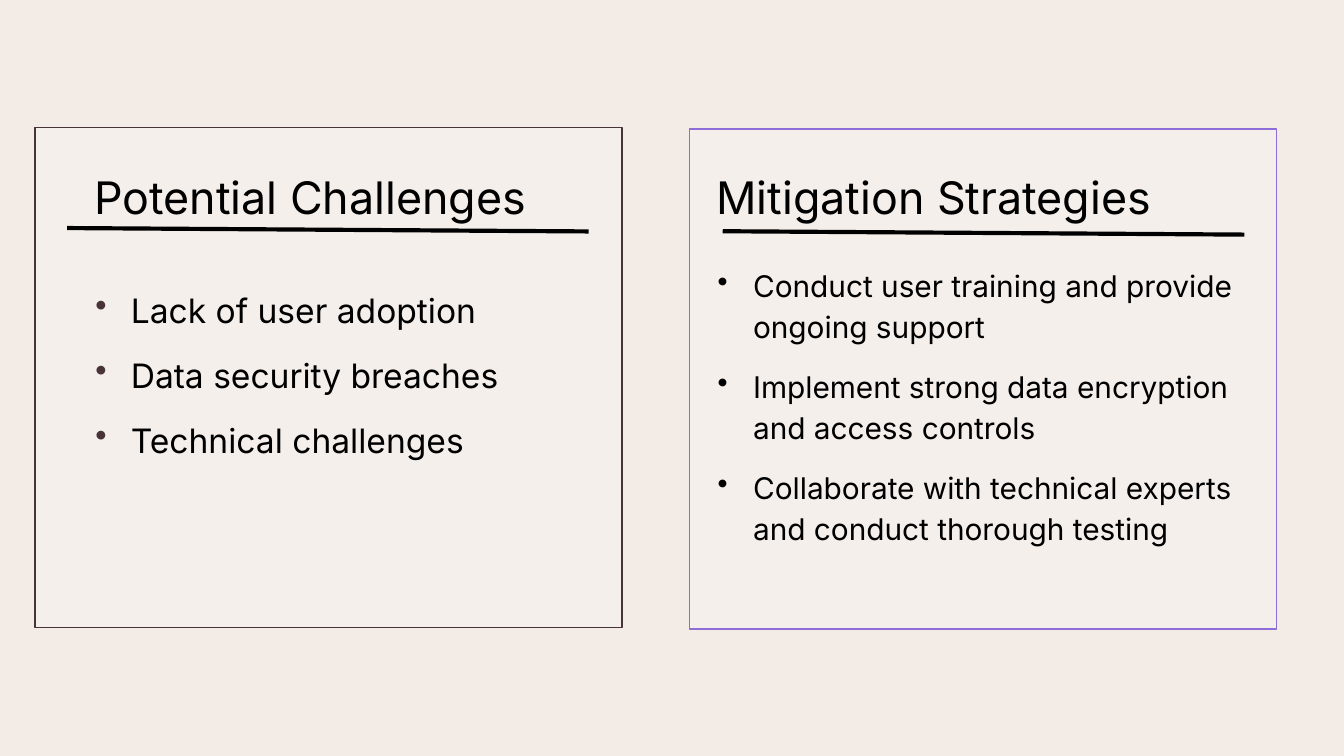
import pptx
import pptx.util
import pptx.dml.color
import pptx.enum.shapes
import pptx.enum.text
import pptx.oxml
import pptx.oxml.ns

Pt = pptx.util.Pt
RGBColor = pptx.dml.color.RGBColor
ANCHOR = pptx.enum.text.MSO_ANCHOR
qn = pptx.oxml.ns.qn
NS = pptx.oxml.ns.nsdecls("a")

BACKGROUND = RGBColor(0xF2, 0xEB, 0xE6)
WHITE = RGBColor(0xFF, 0xFF, 0xFF)
BLACK = RGBColor(0x00, 0x00, 0x00)
BROWN = RGBColor(0x48, 0x33, 0x38)
PURPLE = RGBColor(0x8E, 0x6D, 0xD9)
WIDTH = 314.64

prs = pptx.Presentation()
prs.slide_width, prs.slide_height = Pt(720), Pt(405)
s = prs.slides.add_slide(prs.slide_layouts[6])
s.background.fill.solid()
s.background.fill.fore_color.rgb = BACKGROUND


def add_text(lines, left, top, height, *, size, anchor=ANCHOR.TOP, insets=(7.2, 7.2),
             spacing=None, gap=0, after=0, bullet=None):
    tf = s.shapes.add_textbox(Pt(left), Pt(top), Pt(WIDTH), Pt(height)).text_frame
    tf.word_wrap = True
    tf.vertical_anchor = anchor
    tf.margin_left, tf.margin_right = Pt(insets[0]), Pt(insets[1])
    tf.margin_top = tf.margin_bottom = Pt(7.2)
    for i, line in enumerate(lines):
        p = tf.paragraphs[0] if i == 0 else tf.add_paragraph()
        p.line_spacing = spacing
        p.space_before = Pt(gap if i else 0)
        p.space_after = Pt(after if i == len(lines) - 1 else 0)
        r = p.add_run()
        r.text = line
        r.font.name, r.font.size = "Inter", Pt(size)
        r.font.color.rgb = BLACK
        if bullet is not None:
            pPr = p._p.get_or_add_pPr()
            pPr.set("marL", str(Pt(27)))
            pPr.set("indent", str(Pt(-19)))
            pPr.append(pptx.oxml.parse_xml(f'<a:buClr {NS}><a:srgbClr val="{bullet}"/></a:buClr>'))
            pPr.append(pptx.oxml.parse_xml(f'<a:buChar {NS} char="•"/>'))


# Panel position, border, text left, body top, body size, bullet colour, rule start, title, items
panels = [
    ((18.72, 68.4), BROWN, 36, 144.72, 18, BROWN, (36, 122.2), "Potential Challenges",
     ["Lack of user adoption", "Data security breaches", "Technical challenges"]),
    ((369.36, 69.12), PURPLE, 369.36, 133.2, 16, BLACK, (387.2, 123.9), "Mitigation Strategies",
     ["Conduct user training and provide ongoing support",
      "Implement strong data encryption and access controls",
      "Collaborate with technical experts and conduct thorough testing"]),
]

for (x, y), border, left, top, size, bullet, (rule_x, rule_y), title, items in panels:
    # Translucent panel
    sp = s.shapes.add_shape(pptx.enum.shapes.MSO_SHAPE.RECTANGLE,
                            Pt(x), Pt(y), Pt(WIDTH), Pt(267.84))
    sp.shadow.inherit = False
    sp.fill.solid()
    sp.fill.fore_color.rgb = WHITE
    color = sp._element.spPr.find(qn("a:solidFill"))[0]
    color.append(pptx.oxml.parse_xml(f'<a:alpha {NS} val="20000"/>'))
    sp.line.color.rgb = border
    sp.line.width = Pt(0.75)

    # Bulleted list and heading
    add_text(items, left, top, 215.28, size=size, spacing=1.15, gap=10, after=10, bullet=bullet)
    add_text([title], left, 77.76, 48.96, size=24, anchor=ANCHOR.BOTTOM,
             insets=(14.4, 10.8), after=12)

    # Slightly sloping rule under the heading
    rule = s.shapes.add_connector(pptx.enum.shapes.MSO_CONNECTOR.STRAIGHT, Pt(rule_x), Pt(rule_y),
                                  Pt(rule_x + 279.4), Pt(rule_y + 1.8))
    rule.line.color.rgb = BLACK
    rule.line.width = Pt(2.25)
    rule._element.spPr.append(pptx.oxml.parse_xml(f"<a:effectLst {NS}/>"))

prs.save("out.pptx")
